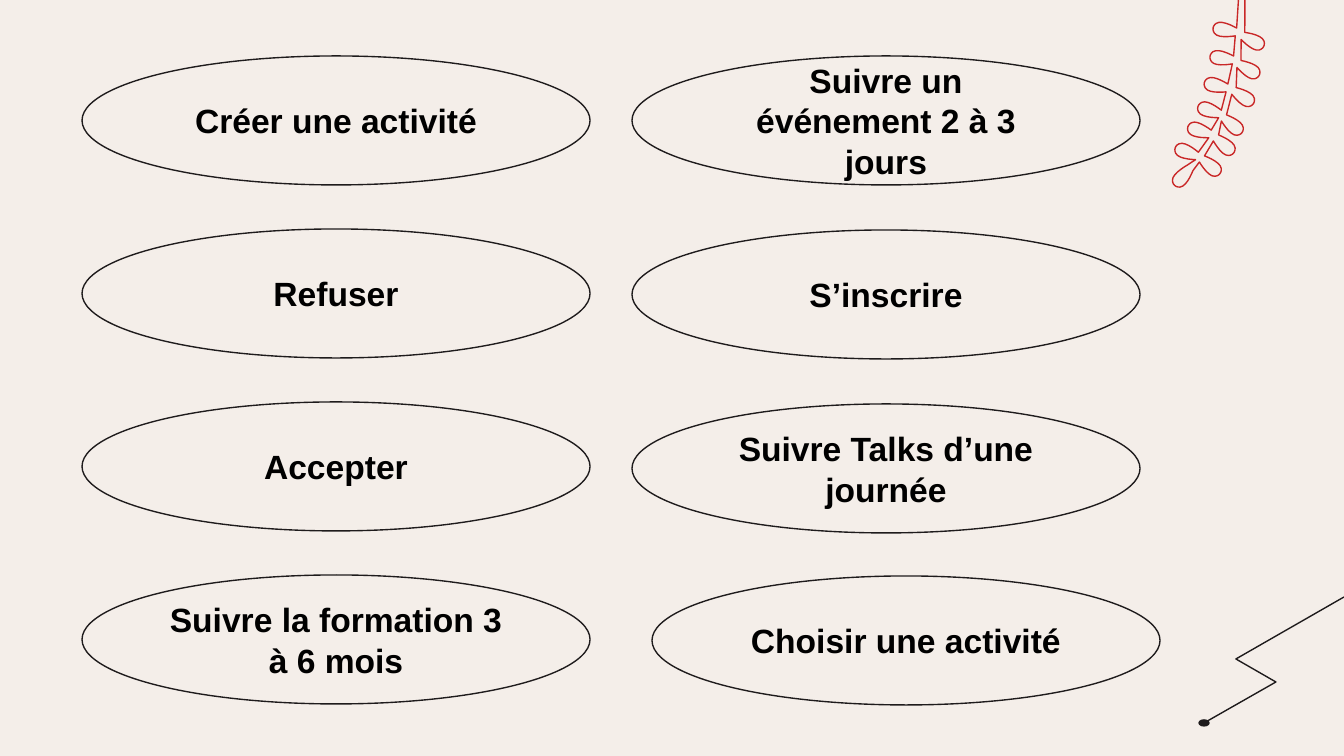
from collections import namedtuple
from math import cos, radians, sin

from pptx import Presentation
from pptx.dml.color import RGBColor
from pptx.enum.shapes import MSO_SHAPE as Shape
from pptx.enum.text import MSO_ANCHOR as Anchor, PP_ALIGN as Align
from pptx.util import Pt

EMU_PER_PX = 9144000 / 1344
PAPER, INK, RED, BLACK = "F4EEE9", "1E1B1C", "C92727", "000000"
STEPS = 6

Box = namedtuple("Box", "left top width height")

LEAF_START = (0, 4)
LEAF_CURVES = [
    ((6, 6), (17, 9), (21, 5)),
    ((24, 2), (24, -2), (21, -5)),
    ((17, -9), (6, -6), (0, -4)),
]
LEAVES = [
    (63, 40, 190), (60, 68, 189), (54, 96, 193), (47, 122, 199),
    (37, 142, 198), (24, 164, 201), (17, 176, 131), (29, 167, 40),
    (43, 146, 41), (51, 126, 40), (61, 99, 33), (66, 72, 30), (70, 44, 27),
]


def px(value):
    """Turn pixels into EMU."""
    return round(value * EMU_PER_PX)


def color(code):
    """Turn a hex string into a colour."""
    return RGBColor.from_string(code)


def style(shape, line, fill=None):
    """Set the outline and fill of a shape and drop its shadow."""
    shape.shadow.inherit = False
    shape.line.color.rgb = color(line)
    shape.line.width = Pt(0.75)
    if fill:
        shape.fill.solid()
        shape.fill.fore_color.rgb = color(fill)
    else:
        shape.fill.background()


def write(shape, text, size=18, font="Arial", ink=BLACK, bold=True, inset=13):
    """Write centred text inside a shape."""
    frame = shape.text_frame
    frame.word_wrap = True
    frame.vertical_anchor = Anchor.MIDDLE
    frame.margin_left = frame.margin_right = px(inset)
    frame.margin_top = frame.margin_bottom = px(inset)
    para = frame.paragraphs[0]
    para.alignment = Align.CENTER
    span = para.add_run()
    span.text = text
    span.font.name = font
    span.font.size = Pt(size)
    span.font.bold = bold
    span.font.color.rgb = color(ink)


def add_ellipse(page, box, fill=None):
    """Add an ink-lined ellipse that fills the box."""
    ellipse = page.shapes.add_shape(Shape.OVAL, *map(px, box))
    style(ellipse, INK, fill)
    return ellipse


def add_outline(page, box, points, close):
    """Draw a line through points measured from the corner of the box."""
    places = [(px(box.left + x), px(box.top + y)) for x, y in points]
    builder = page.shapes.build_freeform(*places[0], scale=1.0)
    builder.add_line_segments(places[1:], close=close)
    return builder.convert_to_shape()


def curve_points(start, first, second, end):
    """Sample a cubic curve, leaving out its start."""
    points = []
    for step in range(1, STEPS + 1):
        t = step / STEPS
        weights = ((1 - t) ** 3, 3 * t * (1 - t) ** 2, 3 * t * t * (1 - t), t ** 3)
        corners = (start, first, second, end)
        points.append(tuple(sum(w * corner[axis] for w, corner in zip(weights, corners))
                            for axis in (0, 1)))
    return points


def leaf_points(x, y, angle):
    """Turn the leaf outline to an angle and move it to its joint."""
    points = [LEAF_START]
    for curve in LEAF_CURVES:
        points += curve_points(points[-1], *curve)
    across, down = cos(radians(angle)), sin(radians(angle))
    return [(x + u * across - v * down, y + u * down + v * across) for u, v in points]


def add_branch(page, box):
    """Draw the red branch with leaves on both sides of its stem."""
    points = [(66, 0)]
    for leaf in LEAVES:
        points += leaf_points(*leaf)
    points.append((box.width - 20, 0))
    style(add_outline(page, box, points, close=True), RED, PAPER)


def add_zigzag(page, box):
    """Draw the zigzag line and the dot at its lower end."""
    points = [(5, box.height - 3), (77, 85), (37, 62), (box.width, 0)]
    style(add_outline(page, box, points, close=False), INK)
    add_ellipse(page, Box(box.left, box.top + box.height - 6, 10, 6), fill=INK)


def add_use_cases(page, box, labels, pitch=0):
    """Stack labelled ellipses downward from the box."""
    for row, label in enumerate(labels):
        place = box._replace(top=box.top + row * pitch)
        write(add_ellipse(page, place), label)


def main():
    """Build the slide and save it."""
    deck = Presentation()
    deck.slide_width, deck.slide_height = px(1344), px(756)
    page = deck.slides.add_slide(deck.slide_layouts[6])
    page.background.fill.solid()
    page.background.fill.fore_color.rgb = color(PAPER)

    add_zigzag(page, Box(1199, 597, 145, 129))
    add_branch(page, Box(1173, -8, 92, 197))
    add_use_cases(page, Box(82, 56, 508, 129), [
        "Créer une activité", "Refuser", "Accepter", "Suivre la formation 3 à 6 mois",
    ], pitch=173)
    add_use_cases(page, Box(632, 56, 508, 129), [
        "Suivre un événement 2 à 3 jours", "S’inscrire", "Suivre Talks d’une journée",
    ], pitch=174)
    add_use_cases(page, Box(652, 576, 508, 129), ["Choisir une activité"])
    deck.save("out.pptx")


if __name__ == "__main__":
    main()
